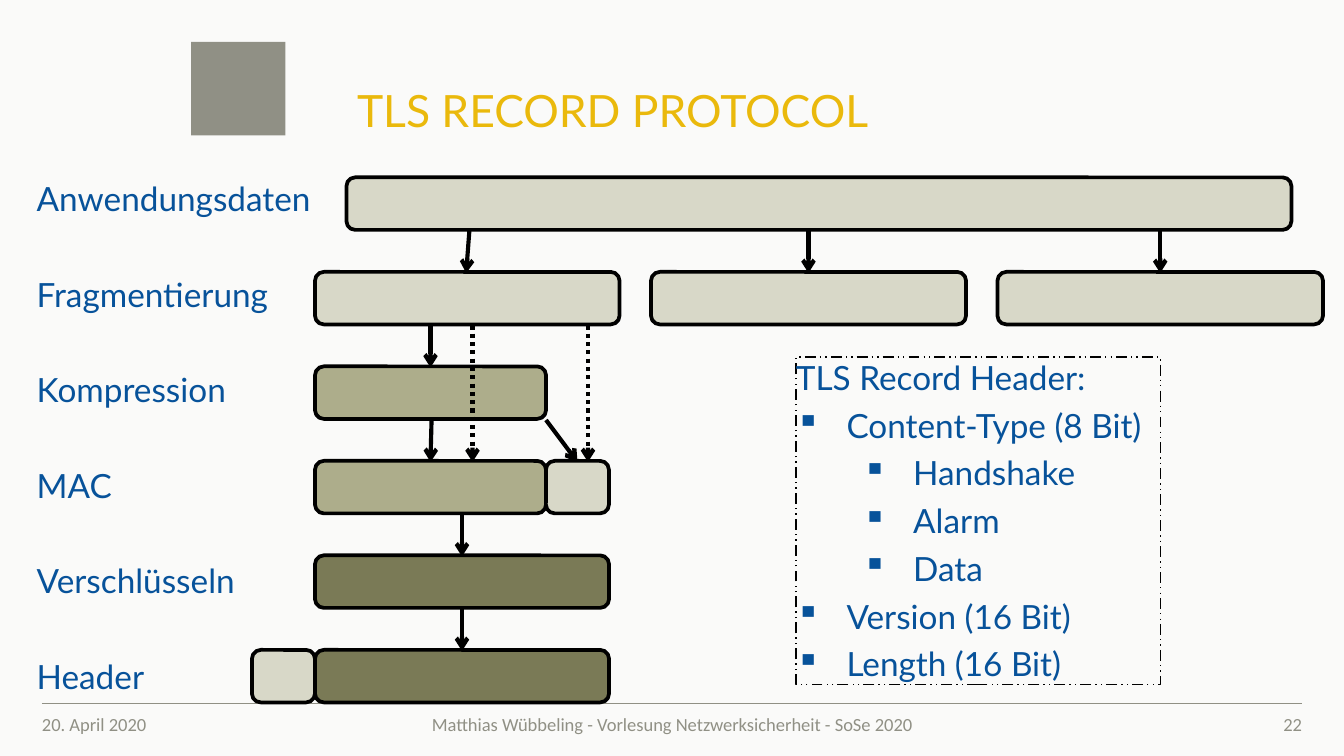
from dataclasses import dataclass

from lxml.etree import SubElement
from pptx import Presentation
from pptx.dml.color import RGBColor
from pptx.enum.dml import MSO_LINE as Dash
from pptx.enum.shapes import MSO_CONNECTOR as Connector, MSO_SHAPE as Preset
from pptx.enum.text import MSO_ANCHOR as Anchor, PP_ALIGN as Align
from pptx.oxml.ns import qn
from pptx.util import Inches, Pt

# The slide is a grid of 128 columns by 72 rows of square cells
WIDTH, HEIGHT, COLUMNS = 10.08, 5.67, 128
CELL = WIDTH / COLUMNS


@dataclass(frozen=True)
class Theme:
    paper: str = "FAFAF9"
    blue: str = "07529A"
    gold: str = "EAB90C"
    grey: str = "909085"
    black: str = "000000"
    plain: str = "D8D8C8"
    compressed: str = "ADAD8B"
    encrypted: str = "7A7A56"
    heading_font: str = "Lato"
    footer_font: str = "Calibri"
    title_size: int = 24
    body_size: int = 18
    footer_size: int = 10


def cells(*counts):
    return [Inches(count * CELL) for count in counts]


class Sketch:
    def __init__(self, slide, theme):
        self.slide, self.theme = slide, theme
        self.slide.background.fill.solid()
        self.slide.background.fill.fore_color.rgb = RGBColor.from_string(theme.paper)

    def _frame(self, shape, anchor):
        frame = shape.text_frame
        frame.word_wrap = True
        frame.vertical_anchor = anchor
        frame.margin_left = frame.margin_right = 0
        frame.margin_top = frame.margin_bottom = 0
        return frame

    def _run(self, paragraph, words, size, color, font):
        run = paragraph.add_run()
        run.text = words
        run.font.size, run.font.name = Pt(size), font
        run.font.color.rgb = RGBColor.from_string(color)

    def _line(self, line, width, color, dash=None):
        line.color.rgb = RGBColor.from_string(color)
        line.width = Pt(width)
        if dash:
            line.dash_style = dash

    def title(self, words, *place):
        heading = self.slide.shapes.title
        heading.left, heading.top, heading.width, heading.height = cells(*place)
        paragraph = self._frame(heading, Anchor.BOTTOM).paragraphs[0]
        paragraph.alignment, paragraph.line_spacing = Align.LEFT, Pt(26)
        look = self.theme
        self._run(paragraph, words, look.title_size, look.gold, look.heading_font)

    def footer(self, words, align, *place):
        box = self.slide.shapes.add_textbox(*cells(*place))
        paragraph = self._frame(box, Anchor.MIDDLE).paragraphs[0]
        paragraph.alignment = align
        look = self.theme
        self._run(paragraph, words, look.footer_size, look.grey, look.footer_font)

    def block(self, fill, *place, preset=Preset.ROUNDED_RECTANGLE, outline=True):
        shape = self.slide.shapes.add_shape(preset, *cells(*place))
        shape.shadow.inherit = False
        shape.fill.solid()
        shape.fill.fore_color.rgb = RGBColor.from_string(fill)
        if outline:
            self._line(shape.line, 2, self.theme.black)
        else:
            shape.line.fill.background()

    def rule(self, *ends, width=1, color=None, dash=None):
        connector = self.slide.shapes.add_connector(Connector.STRAIGHT, *cells(*ends))
        self._line(connector.line, width, color or self.theme.grey, dash)
        SubElement(connector._element.spPr, qn("a:effectLst"))
        return connector

    def arrow(self, *ends, dash=None):
        connector = self.rule(*ends, width=2.25, color=self.theme.black, dash=dash)
        SubElement(connector.get_or_add_ln(), qn("a:tailEnd"), type="arrow")

    def labels(self, words, gap, *place):
        frame = self._frame(self.slide.shapes.add_textbox(*cells(*place)), Anchor.TOP)
        for index, label in enumerate(words):
            paragraph = frame.add_paragraph() if index else frame.paragraphs[0]
            paragraph.space_after = Pt(gap)
            look = self.theme
            self._run(paragraph, label, look.body_size, look.blue, look.heading_font)

    def field_list(self, heading, fields, *place):
        panel = self.slide.shapes.add_shape(Preset.RECTANGLE, *cells(*place))
        panel.shadow.inherit = False
        panel.fill.background()
        self._line(panel.line, 0.75, self.theme.black, Dash.DASH_DOT_DOT)
        frame = self._frame(panel, Anchor.TOP)
        look = self.theme
        for level, words in [(None, heading)] + fields:
            first = level is None
            paragraph = frame.paragraphs[0] if first else frame.add_paragraph()
            paragraph.alignment, paragraph.space_after = Align.LEFT, Pt(4.2)
            if not first:
                paragraph.level = level
                properties = paragraph._p.get_or_add_pPr()
                properties.set("marL", str(Inches(0.38 + 0.5 * level)))
                properties.set("indent", str(-Inches(0.38)))
                SubElement(properties, qn("a:buChar"), char="▪")
            self._run(paragraph, words, look.body_size, look.blue, look.heading_font)


def main():
    deck = Presentation()
    deck.slide_width, deck.slide_height = Inches(WIDTH), Inches(HEIGHT)
    theme = Theme()
    sketch = Sketch(deck.slides.add_slide(deck.slide_layouts[5]), theme)

    # Heading, with a plain block where the emblem sits
    sketch.block(theme.grey, 18.2, 4, 9, 8.9, preset=Preset.RECTANGLE, outline=False)
    sketch.title("TLS RECORD PROTOCOL", 34, 4, 90, 9)

    # Footer
    sketch.rule(4, 67, 124, 67)
    for words, align, left, width in (
        ("20. April 2020", Align.LEFT, 4, 12),
        ("Matthias Wübbeling - Vorlesung Netzwerksicherheit - SoSe 2020",
         Align.CENTER, 29, 70),
        ("22", Align.RIGHT, 116, 8),
    ):
        sketch.footer(words, align, left, 67, width, 4)

    # Record stages: nine rows apart, each block as (fill, left, width)
    first_row, pitch, block_height = 16.9, 9, 5
    stages = {
        "Anwendungsdaten": [(theme.plain, 33, 90)],
        "Fragmentierung": [(theme.plain, 30, 29), (theme.plain, 62, 30),
                           (theme.plain, 95, 31)],
        "Kompression": [(theme.compressed, 30, 22)],
        "MAC": [(theme.compressed, 30, 22), (theme.plain, 52, 6)],
        "Verschlüsseln": [(theme.encrypted, 30, 28)],
        "Header": [(theme.encrypted, 30, 28), (theme.plain, 24, 6)],
    }
    for index, blocks in enumerate(stages.values()):
        for fill, left, width in blocks:
            sketch.block(fill, left, first_row + index * pitch, width, block_height)
    sketch.labels(stages, 30, 3.5, 17, 27.4, 49.4)

    # Steps from stage to stage
    for step in (
        (44.7, 22, 44.4, 26), (77, 22, 77, 26), (110.5, 22, 110.5, 26),
        (41, 31, 41, 35), (41.1, 40, 41, 44), (52, 40, 55, 44),
        (44, 49, 44, 53), (44, 58, 44, 62),
    ):
        sketch.arrow(*step)
    for column in (56, 45):
        sketch.arrow(column, 31, column, 44, dash=Dash.ROUND_DOT)

    # Fields of the record header
    sketch.field_list(
        "TLS Record Header:",
        [(0, "Content-Type (8 Bit)"), (1, "Handshake"), (1, "Alarm"), (1, "Data"),
         (0, "Version (16 Bit)"), (0, "Length (16 Bit)")],
        75.8, 34, 34.7, 31.2)

    deck.save("out.pptx")


if __name__ == "__main__":
    main()
